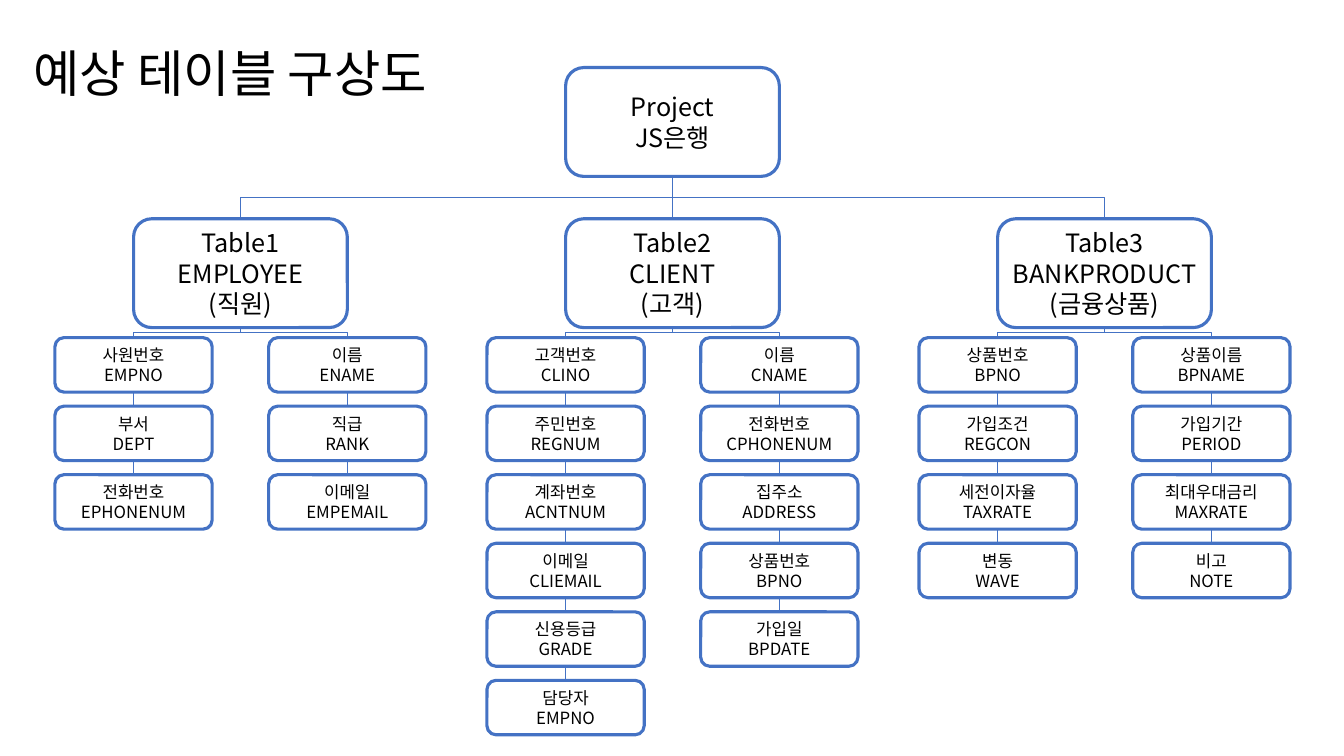
from lxml import etree
from pptx import Presentation
from pptx.dml.color import RGBColor
from pptx.enum.shapes import MSO_CONNECTOR, MSO_SHAPE
from pptx.enum.text import MSO_ANCHOR, PP_ALIGN
from pptx.oxml.ns import qn
from pptx.util import Inches, Pt

ROUNDED = MSO_SHAPE.ROUNDED_RECTANGLE
STRAIGHT, ELBOW = MSO_CONNECTOR.STRAIGHT, MSO_CONNECTOR.ELBOW
CENTER, LEFT = PP_ALIGN.CENTER, PP_ALIGN.LEFT
MIDDLE = MSO_ANCHOR.MIDDLE

TITLE = "예상 테이블 구상도"
PROJECT = ["Project", "JS은행"]
# Each table: heading lines, then its left and right columns of fields
TABLES = [
    (["Table1", "EMPLOYEE", "(직원)"], [
        [("사원번호", "EMPNO"), ("부서", "DEPT"), ("전화번호", "EPHONENUM")],
        [("이름", "ENAME"), ("직급", "RANK"), ("이메일", "EMPEMAIL")],
    ]),
    (["Table2", "CLIENT", "(고객)"], [
        [("고객번호", "CLINO"), ("주민번호", "REGNUM"), ("계좌번호", "ACNTNUM"),
         ("이메일", "CLIEMAIL"), ("신용등급", "GRADE"), ("담당자", "EMPNO")],
        [("이름", "CNAME"), ("전화번호", "CPHONENUM"), ("집주소", "ADDRESS"),
         ("상품번호", "BPNO"), ("가입일", "BPDATE")],
    ]),
    (["Table3", "BANKPRODUCT", "(금융상품)"], [
        [("상품번호", "BPNO"), ("가입조건", "REGCON"), ("세전이자율", "TAXRATE"),
         ("변동", "WAVE")],
        [("상품이름", "BPNAME"), ("가입기간", "PERIOD"), ("최대우대금리", "MAXRATE"),
         ("비고", "NOTE")],
    ]),
]

BLUE, BLACK = "4472C4", "000000"
TITLE_FONT, BOX_FONT = "Arial", "Noto Sans CJK KR"
HEAD_SIZE, FIELD_SIZE = (2.12, 1.08), (1.56, 0.54)
HEAD_PT, FIELD_PT = 18, 12
PROJECT_X, PROJECT_Y = 6.67, 0.67
TABLE_Y, TABLE_PITCH = 2.17, 4.285
FIELD_Y, FIELD_PITCH = 3.35, 0.68
COLUMN_OFFSET = 1.06
TOP_SITE, BOTTOM_SITE = 0, 2


def rgb(hex_color):
    """Turn a hex string into a colour."""
    return RGBColor.from_string(hex_color)


def style_paragraph(paragraph, font_name, points, alignment):
    """Set one paragraph's font, size, colour and alignment."""
    paragraph.alignment = alignment
    font = paragraph.font
    font.name, font.size = font_name, Pt(points)
    font.color.rgb = rgb(BLACK)


def add_box(lines, center_x, top, size, points):
    """Add an outlined rounded box with one paragraph per line."""
    width, height = size
    box = slide.shapes.add_shape(ROUNDED, Inches(center_x - width / 2),
                                 Inches(top), Inches(width), Inches(height))
    box.shadow.inherit = False
    box.fill.background()
    box.line.color.rgb = rgb(BLUE)
    box.line.width = Pt(2.25)
    frame = box.text_frame
    frame.word_wrap = True
    frame.vertical_anchor = MIDDLE
    for index, line in enumerate(lines):
        paragraph = frame.add_paragraph() if index else frame.paragraphs[0]
        paragraph.text = line
        style_paragraph(paragraph, BOX_FONT, points, CENTER)
    return box


def link(parent, child):
    """Join a parent's bottom to its child's top, bending if they are offset."""
    start_x = parent.left + parent.width // 2
    shift = child.left + child.width // 2 - start_x
    bent = abs(shift) > Inches(0.05)
    start_y = parent.top + parent.height
    line = slide.shapes.add_connector(ELBOW if bent else STRAIGHT, start_x,
                                      start_y, start_x + shift, child.top)
    line.begin_connect(parent, BOTTOM_SITE)
    line.end_connect(child, TOP_SITE)
    if bent:
        turn_elbow(line, start_x, start_y, shift, child.top - start_y)
    line.line.color.rgb = rgb(BLUE)
    line.line.width = Pt(0.5)
    etree.SubElement(line._element.spPr, qn("a:effectLst"))


def turn_elbow(line, start_x, start_y, shift, drop):
    """Rotate an elbow so that it leaves its parent vertically."""
    line.width, line.height = drop, abs(shift)
    line.left = start_x + (shift - drop) // 2
    line.top = start_y + (drop - abs(shift)) // 2
    to_right = shift > 0
    xfrm = line._element.spPr.find(qn("a:xfrm"))
    xfrm.set("rot", str((270 if to_right else 90) * 60000))
    xfrm.set("flipH", "1" if to_right else "0")


prs = Presentation()
prs.slide_width, prs.slide_height = Inches(13.33), Inches(7.5)
slide = prs.slides.add_slide(prs.slide_layouts[5])

title = slide.shapes.title
title.left, title.top = Inches(0.23), Inches(0.03)
title.width, title.height = Inches(11.5), Inches(1.45)
title.text_frame.text = TITLE
title.text_frame.vertical_anchor = MIDDLE
title_line = title.text_frame.paragraphs[0]
title_line.line_spacing = 0.9
style_paragraph(title_line, TITLE_FONT, 36, LEFT)

project_box = add_box(PROJECT, PROJECT_X, PROJECT_Y, HEAD_SIZE, HEAD_PT)
for table_index, (heading, columns) in enumerate(TABLES):
    table_x = PROJECT_X + (table_index - 1) * TABLE_PITCH
    table_box = add_box(heading, table_x, TABLE_Y, HEAD_SIZE, HEAD_PT)
    link(project_box, table_box)
    for side, fields in zip((-1, 1), columns):
        above = table_box
        for row, field in enumerate(fields):
            field_box = add_box(field, table_x + side * COLUMN_OFFSET,
                                FIELD_Y + row * FIELD_PITCH,
                                FIELD_SIZE, FIELD_PT)
            link(above, field_box)
            above = field_box

prs.save("out.pptx")
